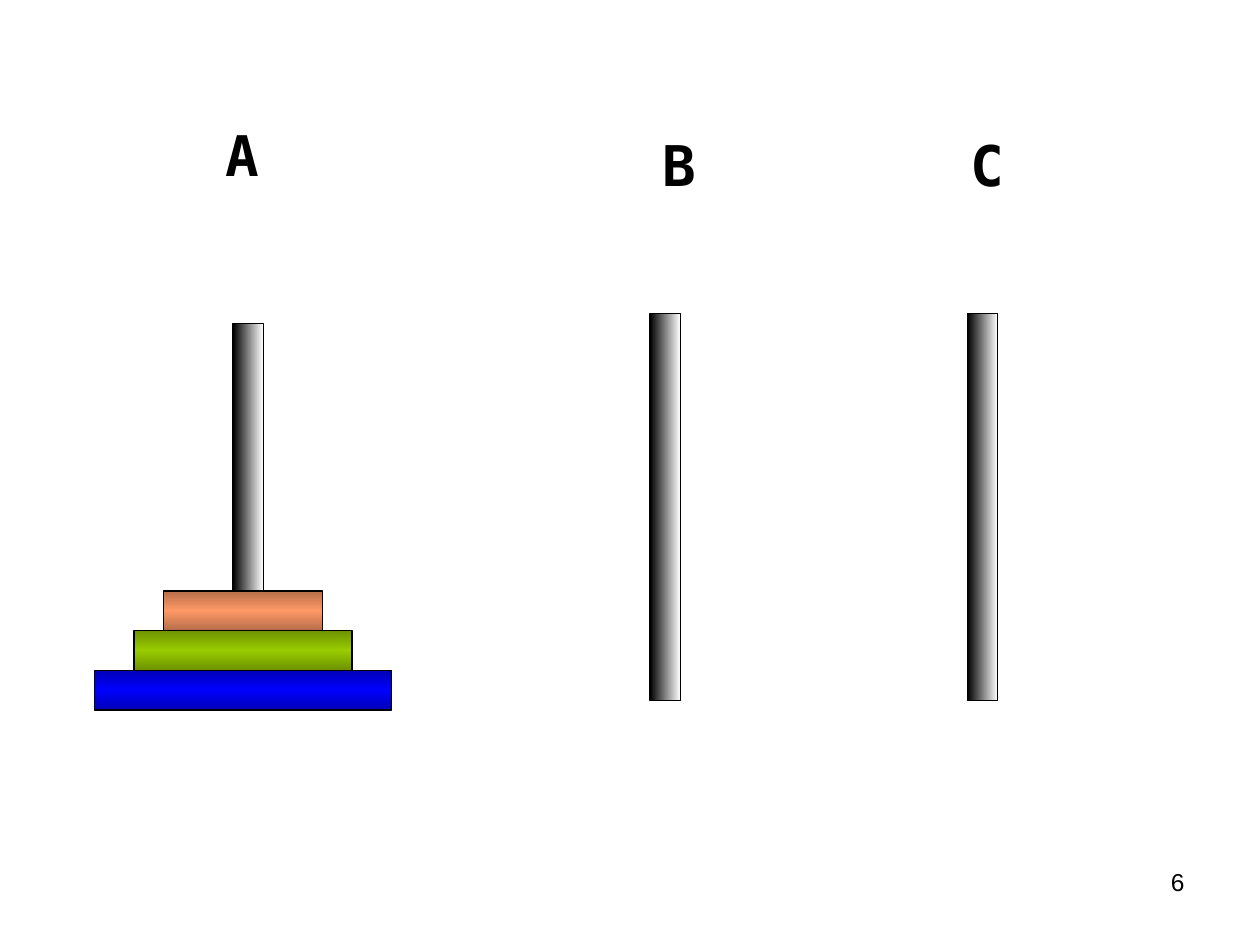
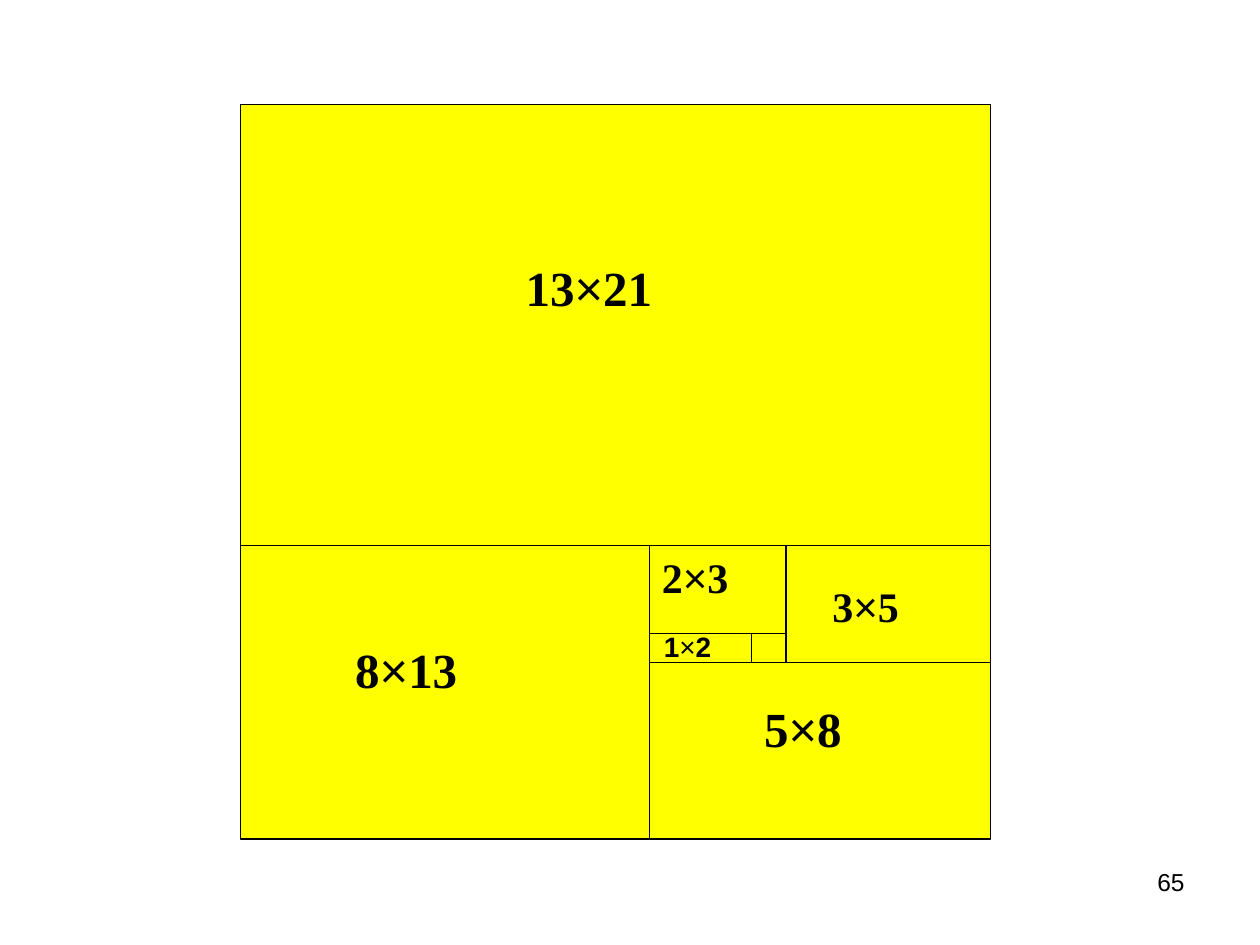
from dataclasses import dataclass

from lxml.etree import SubElement
from pptx import Presentation
from pptx.dml.color import RGBColor
from pptx.enum.shapes import MSO_CONNECTOR, MSO_SHAPE
from pptx.enum.text import MSO_AUTO_SIZE, PP_ALIGN
from pptx.oxml.ns import qn
from pptx.util import Inches, Pt

# Shared look
BLACK = RGBColor(0x00, 0x00, 0x00)
WHITE = RGBColor(0xFF, 0xFF, 0xFF)
YELLOW = RGBColor(0xFF, 0xFF, 0x00)
BLUE = RGBColor(0x00, 0x00, 0xFF)
NAVY = RGBColor(0x00, 0x00, 0xB6)
GREEN = RGBColor(0x99, 0xCC, 0x00)
OLIVE = RGBColor(0x6D, 0x92, 0x00)
ORANGE = RGBColor(0xFF, 0x99, 0x66)
BROWN = RGBColor(0xB6, 0x6D, 0x49)
SANS, SERIF, MONO = "Arial", "Times New Roman", "DejaVu Sans Mono"
EDGE = Pt(0.75)

# Fibonacci grid: the whole rectangle is COLS by ROWS cells
COLS, ROWS = 22, 25
LEFT, TOP, WIDTH, HEIGHT = 1.91, 0.83, 5.95, 5.83


@dataclass
class Box:
    x: float
    y: float
    w: float
    h: float

    def size(self) -> tuple:
        return Inches(self.x), Inches(self.y), Inches(self.w), Inches(self.h)


@dataclass
class Peg:
    name: str
    rod: Box
    tag: Box


@dataclass
class Disc:
    width: float
    rim: RGBColor
    core: RGBColor


@dataclass
class Label:
    rows: int
    cols: int
    box: Box  # in grid cells
    size: int


PEGS = [
    Peg("A", Box(1.85, 2.57, 0.24, 3.07), Box(1.69, 0.91, 0.5, 0.63)),
    Peg("B", Box(5.16, 2.49, 0.24, 3.07), Box(5.16, 0.99, 0.5, 0.63)),
    Peg("C", Box(7.68, 2.49, 0.24, 3.07), Box(7.6, 0.99, 0.52, 0.63)),
]
DISCS = [Disc(1.26, BROWN, ORANGE), Disc(1.73, OLIVE, GREEN), Disc(2.36, NAVY, BLUE)]
STACK_X, STACK_Y, THICK = 1.93, 4.69, 0.315

# Dividing lines, from and to, in grid cells
CUTS = [
    (0, 15, 22, 15), (12, 15, 12, 25), (12, 19, 22, 19),
    (16, 15, 16, 19), (12, 18, 16, 18), (15, 18, 15, 19),
]
LABELS = [
    Label(13, 21, Box(8, 5, 8, 3.5), 28),
    Label(8, 13, Box(3, 18, 4, 3), 28),
    Label(5, 8, Box(15, 20, 4, 3), 28),
    Label(3, 5, Box(17, 16, 4, 3), 24),
    Label(2, 3, Box(12, 15, 4, 3), 24),
]


def grid_x(col: float) -> float:
    return LEFT + col * WIDTH / COLS


def grid_y(row: float) -> float:
    return TOP + row * HEIGHT / ROWS


def add_rect(shapes, box: Box):
    rect = shapes.add_shape(MSO_SHAPE.RECTANGLE, *box.size())
    rect.shadow.inherit = False
    rect.line.color.rgb = BLACK
    rect.line.width = EDGE
    return rect


def shade(rect, stops: list[RGBColor], angle: int) -> None:
    """Fill with evenly spaced gradient stops."""
    rect.fill.gradient()
    rect.fill.gradient_angle = angle
    holder = next(rect._element.iter(qn("a:gsLst")))
    for old in list(holder):
        holder.remove(old)
    for i, color in enumerate(stops):
        stop = SubElement(holder, qn("a:gs"), pos=str(i * 100000 // (len(stops) - 1)))
        SubElement(stop, qn("a:srgbClr"), val=str(color))


def add_cut(shapes, x1: float, y1: float, x2: float, y2: float) -> None:
    line = shapes.add_connector(
        MSO_CONNECTOR.STRAIGHT, Inches(x1), Inches(y1), Inches(x2), Inches(y2))
    line.line.color.rgb = BLACK
    line.line.width = EDGE
    SubElement(line._element.spPr, qn("a:effectLst"))


def add_text(shapes, box: Box, parts: list[str], font: str, size: int,
             bold: bool = True, align=PP_ALIGN.LEFT, wrap: bool = True) -> None:
    """Write the parts as runs; a times sign is always plain sans."""
    frame = shapes.add_textbox(*box.size()).text_frame
    frame.word_wrap = wrap
    if not wrap:
        frame.auto_size = MSO_AUTO_SIZE.SHAPE_TO_FIT_TEXT
    para = frame.paragraphs[0]
    para.alignment = align
    for part in parts:
        run = para.add_run()
        run.text = part
        run.font.name = SANS if part == "×" else font
        run.font.bold = bold and part != "×"
        run.font.size = Pt(size)
        run.font.color.rgb = BLACK


def add_page(deck, number: int):
    slide = deck.slides.add_slide(deck.slide_layouts[6])
    add_text(slide.shapes, Box(7.17, 6.83, 2.33, 0.52), [str(number)],
             SANS, 14, bold=False, align=PP_ALIGN.RIGHT)
    return slide.shapes


def draw_tower(shapes) -> None:
    # Rods and their letters
    for peg in PEGS:
        shade(add_rect(shapes, peg.rod), [BLACK, WHITE], 0)
        add_text(shapes, peg.tag, [peg.name], MONO, 32, wrap=False)
    # Discs, smallest on top
    for i, disc in enumerate(DISCS):
        box = Box(STACK_X - disc.width / 2, STACK_Y + i * THICK, disc.width, THICK)
        shade(add_rect(shapes, box), [disc.rim, disc.core, disc.rim], 90)


def draw_grid(shapes) -> None:
    # Rectangle with its divisions
    group = shapes.add_group_shape().shapes
    rect = add_rect(group, Box(LEFT, TOP, WIDTH, HEIGHT))
    rect.fill.solid()
    rect.fill.fore_color.rgb = YELLOW
    for x1, y1, x2, y2 in CUTS:
        add_cut(group, grid_x(x1), grid_y(y1), grid_x(x2), grid_y(y2))
    # Sizes of the parts
    for label in LABELS:
        cell = label.box
        box = Box(grid_x(cell.x), grid_y(cell.y),
                  cell.w * WIDTH / COLS, cell.h * HEIGHT / ROWS)
        add_text(group, box, [str(label.rows), "×", str(label.cols)],
                 SERIF, label.size, align=PP_ALIGN.JUSTIFY)
    add_text(shapes, Box(5.17, 4.95, 0.58, 0.37), ["1", "×", "2"], SANS, 16, wrap=False)


def main() -> None:
    deck = Presentation()
    deck.slide_width, deck.slide_height = Inches(10), Inches(7.5)
    draw_tower(add_page(deck, 6))
    draw_grid(add_page(deck, 65))
    deck.save("out.pptx")


if __name__ == "__main__":
    main()
